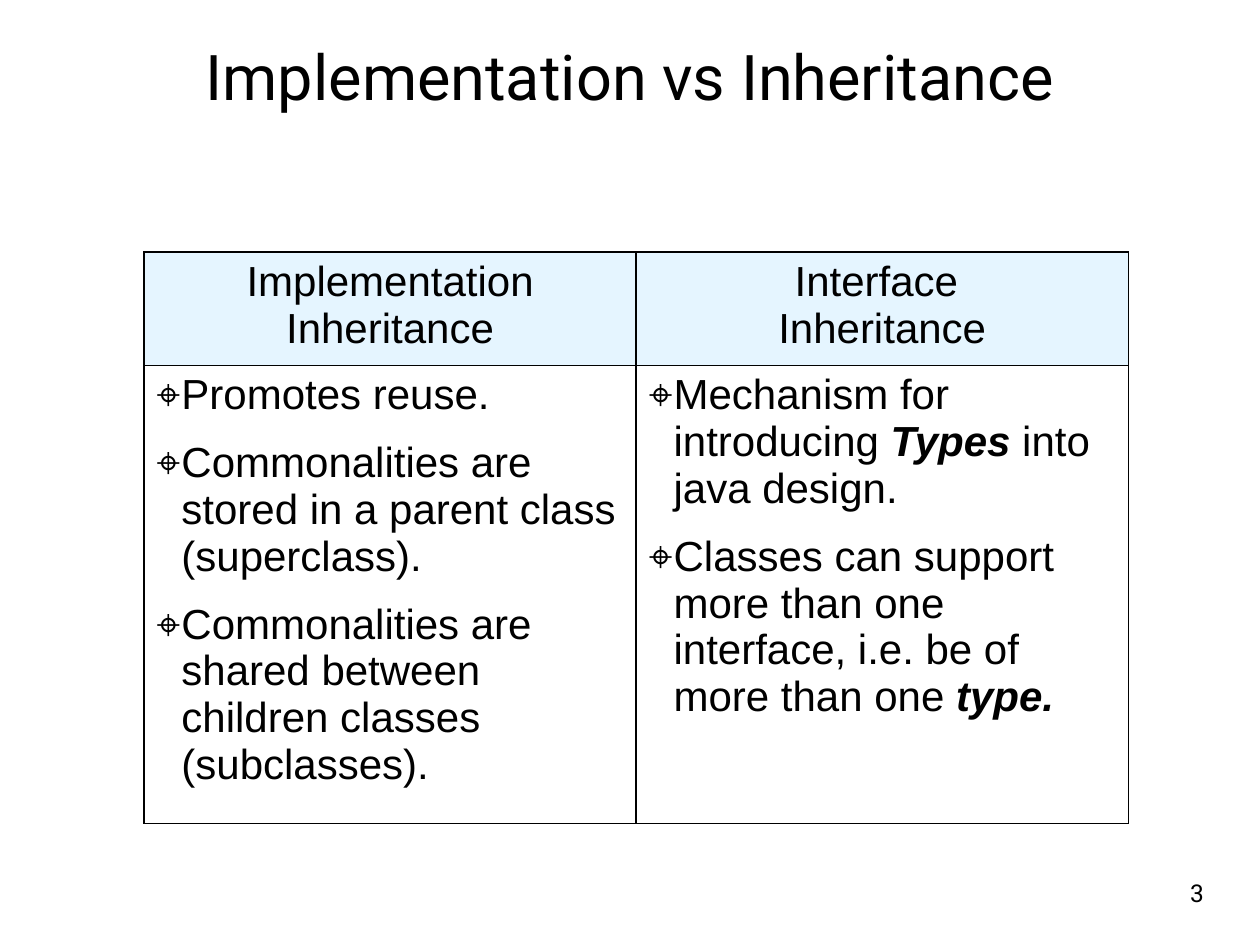
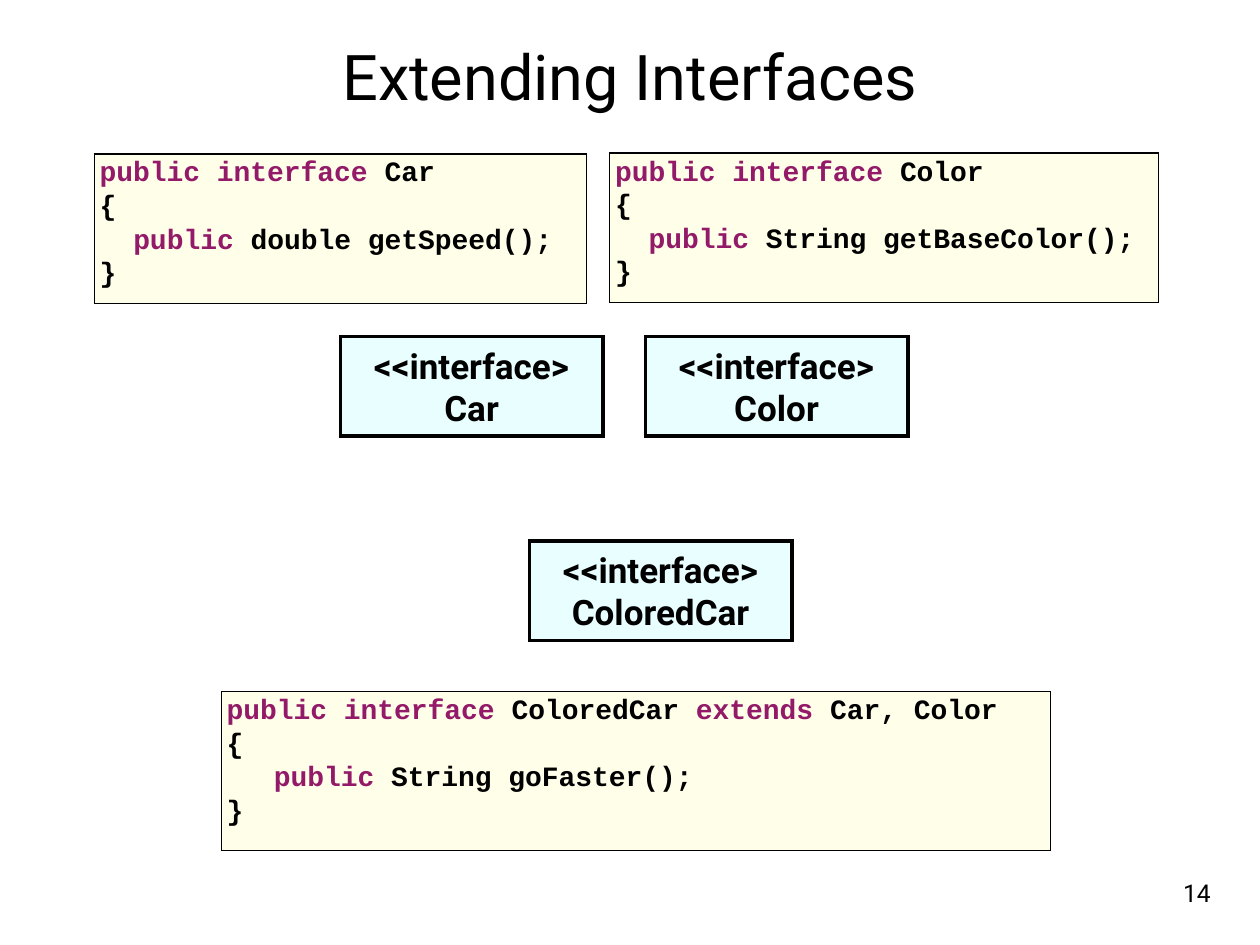
from lxml import etree
from pptx import Presentation
from pptx import util as u
from pptx.dml.color import RGBColor
from pptx.enum import shapes, text
from pptx.oxml import ns

Pt = u.Pt
SANS, ARIAL, MONO = "Roboto", "Arial", "Courier New"
INK, KEY = "000000", "931A68"
HEAD, CODE, NODE = "E5F5FF", "FFFED5", "D4FEFF"
WORDS = ("public", "interface", "extends")
CENTER = text.PP_ALIGN.CENTER


def rgb(code):
    return RGBColor.from_string(code)


def sub(parent, tag, **attrs):
    return etree.SubElement(parent, ns.qn(tag), attrs)


def style(run, font, size, color=INK, bold=False, italic=False):
    face = run.font
    face.name, face.size = font, Pt(size)
    face.bold, face.italic = bold, italic
    face.color.rgb = rgb(color)


def margins(frame, pad):
    frame.margin_left = frame.margin_right = Pt(pad)
    frame.margin_top = frame.margin_bottom = Pt(pad)


def indent(para, left, first=0):
    props = para._p.get_or_add_pPr()
    props.set("marL", str(Pt(left)))
    props.set("indent", str(Pt(first)))
    return props


def lines(frame, body, font, size, bold=False):
    frame.text = body
    for para in frame.paragraphs:
        para.alignment = CENTER
        for run in para.runs:
            style(run, font, size, bold=bold)


def label(slide, box, body, size, pad, wrap=True):
    frame = slide.shapes.add_textbox(*map(Pt, box)).text_frame
    frame.word_wrap = wrap
    margins(frame, pad)
    lines(frame, body, SANS, size)
    return frame


def base(deck, title, number):
    slide = deck.slides.add_slide(deck.slide_layouts[6])
    frame = label(slide, (36, 0, 648, 86.5), title, 36, 4.5)
    frame.vertical_anchor = text.MSO_ANCHOR.MIDDLE
    label(slide, (672, 502, 24, 24), number, 14, 0, False)
    return slide


def panel(slide, box, fill, weight, pad):
    rect = slide.shapes.add_shape(shapes.MSO_SHAPE.RECTANGLE, *map(Pt, box))
    rect.shadow.inherit = False
    rect.fill.solid()
    rect.fill.fore_color.rgb = rgb(fill)
    props = rect._element.spPr
    sub(props.find(".//" + ns.qn("a:srgbClr")), "a:alpha", val="50000")
    rect.line.color.rgb = rgb(INK)
    rect.line.width = Pt(weight)
    sub(props.find(ns.qn("a:ln")), "a:miter", lim="800000")
    frame = rect.text_frame
    frame.word_wrap = True
    margins(frame, pad)
    return frame


def node(slide, left, top, name):
    frame = panel(slide, (left, top, 150, 57), NODE, 2, 4.5)
    frame.vertical_anchor = text.MSO_ANCHOR.MIDDLE
    lines(frame, "<<interface>\n" + name, SANS, 20, True)


def listing(slide, box, head, member, step):
    frame = panel(slide, box, CODE, 0.75, 0)
    frame.vertical_anchor = text.MSO_ANCHOR.TOP
    rows = [(head, 3), ("{", 3), (member, 3 + step), ("}", 3)]
    for at, (row, left) in enumerate(rows):
        para = frame.add_paragraph() if at else frame.paragraphs[0]
        para.alignment = text.PP_ALIGN.LEFT
        para.line_spacing = Pt(19.2)
        indent(para, left)
        words = row.split(" ")
        for spot, word in enumerate(words):
            run = para.add_run()
            run.text = word + (" " if spot < len(words) - 1 else "")
            style(run, MONO, 16, KEY if word in WORDS else INK, True)


def border(cell):
    props = cell._tc.get_or_add_tcPr()
    for at, side in enumerate(("lnL", "lnR", "lnT", "lnB")):
        line = etree.Element(ns.qn("a:" + side), w=str(Pt(1)))
        sub(sub(line, "a:solidFill"), "a:srgbClr", val=INK)
        props.insert(at, line)


def bullets(frame, items):
    for at, item in enumerate(items):
        para = frame.add_paragraph() if at else frame.paragraphs[0]
        para.space_before = para.space_after = Pt(6)
        props = indent(para, 14.2, -14.2)
        sub(sub(props, "a:buClr"), "a:srgbClr", val=INK)
        sub(props, "a:buFont", typeface=ARIAL)
        sub(props, "a:buChar", char="⌖")
        for spot, part in enumerate(item):
            run = para.add_run()
            run.text = part
            strong = spot == 1
            style(run, ARIAL, 24, bold=strong, italic=strong)


def grid(slide, box, heads, lists):
    table = slide.shapes.add_table(2, len(heads), *map(Pt, box)).table
    for col, (head, items) in enumerate(zip(heads, lists)):
        top, body = table.cell(0, col), table.cell(1, col)
        top.fill.solid()
        top.fill.fore_color.rgb = rgb(HEAD)
        body.fill.background()
        lines(top.text_frame, head, ARIAL, 24)
        bullets(body.text_frame, items)
        border(top)
        border(body)


def compare(deck):
    slide = base(deck, "Implementation vs Inheritance", "3")
    heads = ["Implementation Inheritance", "Interface \nInheritance"]
    reuse = [
        ["Promotes reuse."],
        ["Commonalities are stored in a parent class (superclass)."],
        ["Commonalities are shared between children classes (subclasses)."],
    ]
    types = [
        ["Mechanism for introducing ", "Types", " into java design."],
        ["Classes can support more than one interface, i.e. be of more than one ",
         "type."],
    ]
    grid(slide, (82.3, 144, 562.5, 59), heads, [reuse, types])


def extend(deck):
    slide = base(deck, "Extending Interfaces", "14")
    for left, top, name in ((194.5, 192.2, "Car"), (368.8, 192.2, "Color"),
                            (302.5, 309, "ColoredCar")):
        node(slide, left, top, name)
    listing(slide, (126.5, 395.2, 473.8, 90.8),
            "public interface ColoredCar extends Car, Color",
            "public String goFaster();", 27)
    listing(slide, (54, 88, 281.3, 85.5), "public interface Car",
            "public double getSpeed();", 19.2)
    listing(slide, (348.5, 87.5, 313.5, 85.5), "public interface Color",
            "public String getBaseColor();", 19.2)


def main():
    deck = Presentation()
    deck.slide_width, deck.slide_height = Pt(720), Pt(540)
    compare(deck)
    extend(deck)
    deck.save("out.pptx")


if __name__ == "__main__":
    main()
